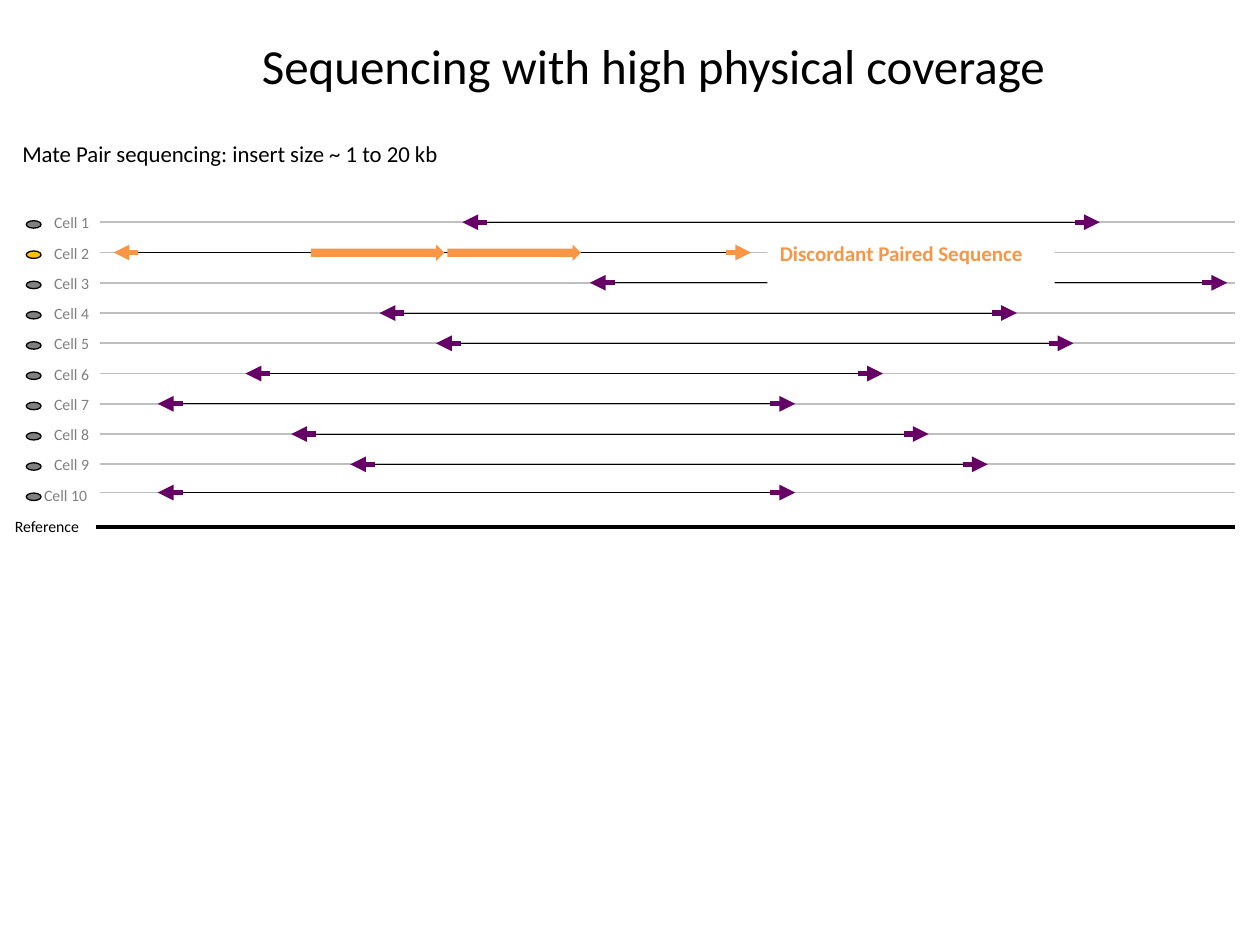
from dataclasses import dataclass

from lxml.etree import SubElement
from pptx import Presentation
from pptx.dml.color import RGBColor
from pptx.enum.shapes import MSO_CONNECTOR, MSO_SHAPE
from pptx.enum.text import MSO_ANCHOR, MSO_AUTO_SIZE, PP_ALIGN
from pptx.oxml.ns import qn
from pptx.util import Cm, Pt


@dataclass(frozen=True)
class Theme:
    font: str = "Calibri"
    black: str = "000000"
    white: str = "FFFFFF"
    gray: str = "808080"
    track: str = "BFBFBF"
    read: str = "660066"
    discordant: str = "F79646"
    discordant_cell: str = "FFC000"
    title_size: float = 28
    subtitle_size: float = 13
    callout_size: float = 12
    label_size: float = 9


THEME = Theme()

# All lengths below are in centimetres.
ROW_PITCH = 0.61
FIRST_TRACK, LAST_TRACK = 4.48, 9.93
TRACK_LEFT, TRACK_RIGHT = 2.01, 24.89
FRAGMENT_LENGTH, READ_LENGTH = 12.85, 0.5
FRAGMENT_STARTS = [9.32, 2.29, 11.89, 7.65, 8.79, 4.95, 3.18, 5.87, 7.06, 3.18]
DISCORDANT_CELL = 2


def track_height(row):
    return min(FIRST_TRACK + row * ROW_PITCH, LAST_TRACK)


def write_text(frame, text, size, color, bold=False):
    paragraph = frame.paragraphs[0]
    run = paragraph.add_run()
    run.text = text
    run.font.name = THEME.font
    run.font.size = Pt(size)
    run.font.bold = bold
    run.font.color.rgb = RGBColor.from_string(color)
    return paragraph


def add_title(slide, text):
    title = slide.shapes.title
    title.left, title.top, title.width, title.height = Cm(1.5), Cm(-0.28), Cm(23.34), Cm(3.18)
    title.text_frame.auto_size = MSO_AUTO_SIZE.NONE
    title.text_frame.vertical_anchor = MSO_ANCHOR.MIDDLE
    paragraph = write_text(title.text_frame, text, THEME.title_size, THEME.black)
    paragraph.alignment = PP_ALIGN.CENTER


def add_label(slide, text, left, top, width, height, size, color, wrap=True):
    box = slide.shapes.add_textbox(Cm(left), Cm(top), Cm(width), Cm(height))
    box.text_frame.word_wrap = wrap
    write_text(box.text_frame, text, size, color)


def add_line(slide, start, end, height, color, weight, arrow=False):
    """Draw a horizontal line, with an arrowhead at its end if asked."""
    line = slide.shapes.add_connector(
        MSO_CONNECTOR.STRAIGHT, Cm(start), Cm(height), Cm(end), Cm(height))
    line.line.color.rgb = RGBColor.from_string(color)
    line.line.width = Pt(weight)
    properties = line.line._get_or_add_ln()
    if arrow:
        SubElement(properties, qn("a:tailEnd"), type="triangle")
    SubElement(properties.getparent(), qn("a:effectLst"))


def add_filled_shape(slide, kind, left, top, width, height, fill, outline=None):
    shape = slide.shapes.add_shape(kind, Cm(left), Cm(top), Cm(width), Cm(height))
    shape.shadow.inherit = False
    shape.fill.solid()
    shape.fill.fore_color.rgb = RGBColor.from_string(fill)
    if outline:
        shape.line.color.rgb = RGBColor.from_string(outline)
        shape.line.width = Pt(0.75)
    else:
        shape.line.fill.background()
    return shape


def add_fragment(slide, start, height, color):
    """Draw an insert with an outward-pointing read at each end."""
    end = start + FRAGMENT_LENGTH
    inner_start, inner_end = start + READ_LENGTH, end - READ_LENGTH
    add_line(slide, inner_start, inner_end, height, THEME.black, 0.5)
    add_line(slide, inner_start, start, height, color, 3, arrow=True)
    add_line(slide, inner_end, end, height, color, 3, arrow=True)


def add_cell(slide, row, start):
    number = row + 1
    discordant = number == DISCORDANT_CELL
    height = track_height(row)
    add_line(slide, TRACK_LEFT, TRACK_RIGHT, height, THEME.track, 1)
    add_fragment(slide, start, height, THEME.discordant if discordant else THEME.read)
    left, width = (0.84, 1.57) if number < 10 else (0.64, 1.88)
    add_label(slide, f"Cell {number}", left, 4.17 + row * ROW_PITCH, width, 0.64,
              THEME.label_size, THEME.gray)
    add_filled_shape(slide, MSO_SHAPE.OVAL, 0.53, 4.45 + row * ROW_PITCH, 0.3, 0.15,
                     THEME.discordant_cell if discordant else THEME.gray, THEME.black)


def add_duplication(slide):
    """Mark the tandem repeat and name the discordant pair beside it."""
    for left in (6.27, 9.02):
        add_filled_shape(slide, MSO_SHAPE.RIGHT_ARROW, left, 4.93, 2.69, 0.33,
                         THEME.discordant)
    callout = add_filled_shape(slide, MSO_SHAPE.RECTANGLE, 15.47, 4.72, 5.79, 1.27, THEME.white)
    callout.text_frame.word_wrap = True
    callout.text_frame.vertical_anchor = MSO_ANCHOR.TOP
    paragraph = write_text(callout.text_frame, "Discordant Paired Sequence",
                           THEME.callout_size, THEME.discordant, bold=True)
    paragraph.alignment = PP_ALIGN.LEFT


def main():
    presentation = Presentation()
    presentation.slide_width, presentation.slide_height = Cm(25.4), Cm(19.05)
    slide = presentation.slides.add_slide(presentation.slide_layouts[5])
    add_title(slide, "Sequencing with high physical coverage")
    add_label(slide, "Mate Pair sequencing: insert size ~ 1 to 20 kb", 0.2, 2.69, 11, 0.81,
              THEME.subtitle_size, THEME.black, wrap=False)
    for row, start in enumerate(FRAGMENT_STARTS):
        add_cell(slide, row, start)
    add_line(slide, 1.93, TRACK_RIGHT, 10.62, THEME.black, 2.25)
    add_label(slide, "Reference", 0.05, 10.29, 1.85, 1.02, THEME.label_size, THEME.black)
    add_duplication(slide)
    presentation.save("out.pptx")


if __name__ == "__main__":
    main()
